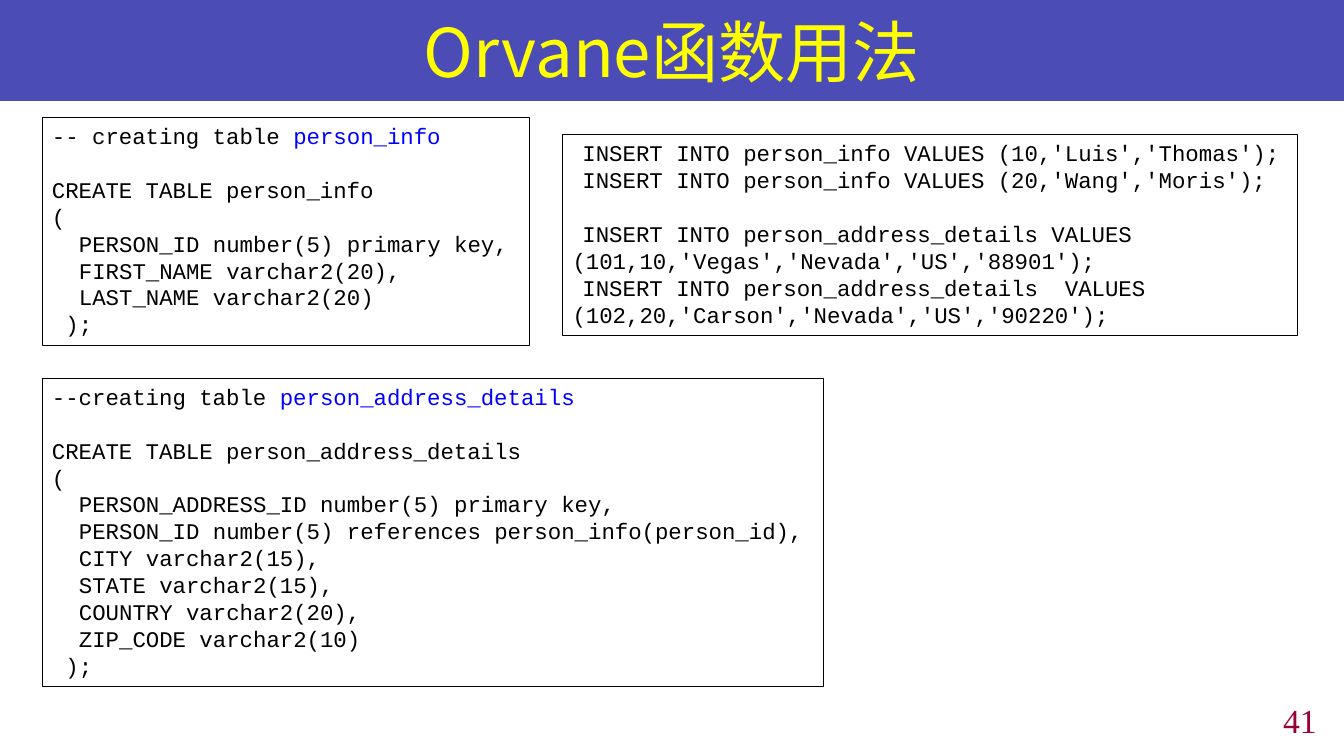
from lxml.etree import SubElement
from pptx import Presentation
from pptx.dml.color import RGBColor
from pptx.enum.shapes import MSO_SHAPE
from pptx.enum.text import MSO_ANCHOR, PP_ALIGN
from pptx.oxml.ns import qn
from pptx.util import Cm, Pt

TITLE = "Orvane函数用法"
PAGE_NUMBER = "41"
CODE_FONT = "Courier New"
CODE_SIZE = 16
LINE_HEIGHT = 19.2
CHARACTER = 0.34
HALF_STEP = 0.25

PERSON_TABLE = [
    (0, "-- creating table ", "person_info"),
    None,
    (0, "CREATE TABLE person_info"),
    (0, "("),
    (2 * CHARACTER, "PERSON_ID number(5) primary key,"),
    (2 * CHARACTER, "FIRST_NAME varchar2(20),"),
    (2 * CHARACTER, "LAST_NAME varchar2(20)"),
    (CHARACTER, ");"),
]
ADDRESS_TABLE = [
    (0, "--creating table ", "person_address_details"),
    None,
    (0, "CREATE TABLE person_address_details"),
    (0, "("),
    (2 * CHARACTER, "PERSON_ADDRESS_ID number(5) primary key,"),
    (2 * CHARACTER, "PERSON_ID number(5) references person_info(person_id),"),
    (2 * CHARACTER, "CITY varchar2(15),"),
    (2 * CHARACTER, "STATE varchar2(15),"),
    (2 * CHARACTER, "COUNTRY varchar2(20),"),
    (2 * CHARACTER, "ZIP_CODE varchar2(10)"),
    (CHARACTER, ");"),
]
INSERTS = [
    (HALF_STEP, "INSERT INTO person_info VALUES (10,'Luis','Thomas');"),
    (HALF_STEP, "INSERT INTO person_info VALUES (20,'Wang','Moris');"),
    None,
    (HALF_STEP, "INSERT INTO person_address_details VALUES "
                "(101,10,'Vegas','Nevada','US','88901');"),
    (HALF_STEP, "INSERT INTO person_address_details  VALUES "
                "(102,20,'Carson','Nevada','US','90220');"),
]
CODE_BOXES = [
    (1.06, 2.96, 12.28, 5.74, PERSON_TABLE),
    (1.06, 9.53, 19.69, 7.77, ADDRESS_TABLE),
    (14.18, 3.39, 18.52, 5.05, INSERTS),
]


def color(value):
    return RGBColor.from_string(value)


def format_span(span, font, size, value):
    span.font.name = font
    span.font.size = Pt(size)
    span.font.color.rgb = color(value)
    properties = span.font._element
    SubElement(properties, qn("a:ea")).set("typeface", font)


def add_title(page):
    title = page.shapes.title
    title.left, title.top, title.width, title.height = 0, 0, Cm(33.87), Cm(2.54)
    title.fill.solid()
    title.fill.fore_color.rgb = color("000099")
    shade = title.fill._xPr.find(".//" + qn("a:srgbClr"))
    SubElement(shade, qn("a:alpha")).set("val", "70000")
    frame = title.text_frame
    frame.text = TITLE
    frame.vertical_anchor = MSO_ANCHOR.MIDDLE
    para = frame.paragraphs[0]
    para.alignment = PP_ALIGN.CENTER
    format_span(para.runs[0], "Noto Sans CJK SC", 48, "FFFF00")


def add_page_number(page):
    box = page.shapes.add_textbox(Cm(26.24), Cm(17.75), Cm(7.19), Cm(0.79))
    frame = box.text_frame
    frame.word_wrap = True
    frame.text = PAGE_NUMBER
    frame.vertical_anchor = MSO_ANCHOR.MIDDLE
    para = frame.paragraphs[0]
    para.alignment = PP_ALIGN.RIGHT
    format_span(para.runs[0], "Times New Roman", 24, "990033")


def add_code_box(page, left, top, width, height, lines):
    box = page.shapes.add_shape(
        MSO_SHAPE.RECTANGLE, Cm(left), Cm(top), Cm(width), Cm(height))
    box.shadow.inherit = False
    box.fill.background()
    box.line.color.rgb = color("000000")
    box.line.width = Pt(0.5)
    frame = box.text_frame
    frame.word_wrap = True
    frame.vertical_anchor = MSO_ANCHOR.TOP
    code_lines = [line for line in lines if line]
    frame.text = "\n".join(line[1] for line in code_lines)
    after_gap = lines[lines.index(None) + 1]
    for para, line in zip(frame.paragraphs, code_lines):
        para.alignment = PP_ALIGN.LEFT
        para.line_spacing = Pt(LINE_HEIGHT)
        para.space_before = Pt(LINE_HEIGHT if line is after_gap else 0)
        para._p.get_or_add_pPr().set("indent", str(Cm(line[0])))
        for name in line[2:]:
            para.add_run().text = name
        for span, value in zip(para.runs, ("000000", "0000FF")):
            format_span(span, CODE_FONT, CODE_SIZE, value)


deck = Presentation()
deck.slide_width, deck.slide_height = Cm(33.87), Cm(19.05)
page = deck.slides.add_slide(deck.slide_layouts[5])
add_title(page)
add_page_number(page)
for code_box in CODE_BOXES:
    add_code_box(page, *code_box)
deck.save("out.pptx")
